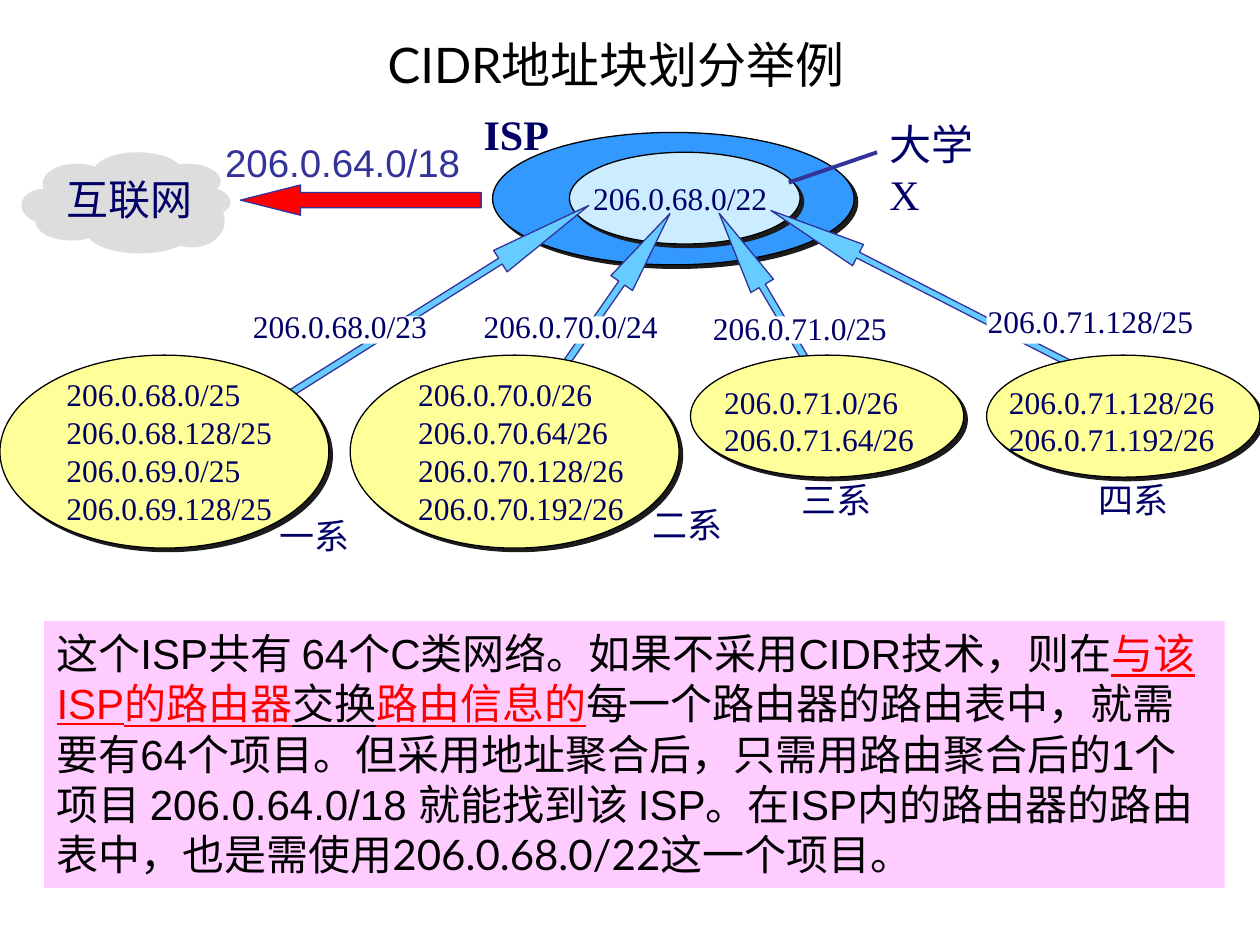
from lxml import etree
from pptx import Presentation
from pptx import util as u
from pptx.dml.color import RGBColor
from pptx.enum import shapes, text
from pptx.oxml import ns

NAVY, INDIGO, SKY = "000066", "333399", "66CCFF"
SERIF = "Times New Roman"

prs = Presentation()
prs.slide_width, prs.slide_height = u.Cm(25.4), u.Cm(19.05)
slide = prs.slides.add_slide(prs.slide_layouts[6])


def add_figure(kind, box, fill, line=None, shadow=False):
    """Add a preset shape; box is left, top, width, height in cm."""
    figure = slide.shapes.add_shape(kind, *map(u.Cm, box))
    figure.shadow.inherit = False
    figure.fill.solid()
    figure.fill.fore_color.rgb = RGBColor.from_string(fill)
    if line:
        figure.line.color.rgb = RGBColor.from_string(line)
        figure.line.width = u.Pt(0.75)
    else:
        figure.line.fill.background()
    if shadow:
        effects = figure._element.spPr.find(ns.qn("a:effectLst"))
        outer = etree.SubElement(effects, ns.qn("a:outerShdw"), dist=str(u.Pt(2.8)),
                                 dir="2700000", algn="ctr", rotWithShape="0")
        etree.SubElement(outer, ns.qn("a:srgbClr"), val="1C1C1C")
    return figure


def add_label(lines, box, size=18, color=NAVY, font=SERIF, bold=False, wrap=False):
    """Add a text box with one paragraph per line; box is in cm."""
    label = slide.shapes.add_textbox(*map(u.Cm, box))
    frame = label.text_frame
    frame.word_wrap = wrap
    frame.text = "\n".join(lines)
    for paragraph in frame.paragraphs:
        paragraph.font.size = u.Pt(size)
        paragraph.font.name = font
        paragraph.font.bold = bold
        paragraph.font.color.rgb = RGBColor.from_string(color)
    return frame


shape = shapes.MSO_SHAPE

title = add_label(["CIDR地址块划分举例"], (1.6, 0.33, 21.64, 1.93), 28, "000000", "Lato", wrap=True)
title.vertical_anchor = text.MSO_ANCHOR.MIDDLE
title.paragraphs[0].alignment = text.PP_ALIGN.CENTER

# Internet cloud: the same puffs twice, slightly offset
puffs = [
    (1.88, 3.07, 1.8, 0.81), (0.86, 3.3, 1.37, 0.81), (0.43, 3.81, 0.91, 0.66),
    (0.71, 4.11, 1.4, 0.71), (1.73, 4.22, 2.11, 0.86), (3.1, 3.3, 1.32, 0.64),
    (3.3, 3.73, 1.32, 0.64), (3.18, 3.89, 1.32, 1.07), (1.19, 3.56, 2.72, 1.07),
]
for offset in (0.03, 0):
    for left, top, width, height in puffs:
        add_figure(shape.OVAL, (left + offset, top + offset, width, height), "DDDDDD")
add_label(["互联网"], (1.09, 3.38, 3.05, 1.27), 24)

# ISP and the university inside it
add_figure(shape.OVAL, (9.93, 2.67, 7.29, 2.67), "3399FF", "000000", shadow=True)
add_figure(shape.OVAL, (11.48, 3.07, 4.65, 1.85), "CCECFF", "000000", shadow=True)
add_label(["206.0.68.0/22"], (11.71, 3.48, 4.01, 1.02))
add_label(["206.0.64.0/18"], (4.29, 2.67, 5.31, 1.19), 22, INDIGO, "Arial")
uplink = add_figure(shape.LEFT_ARROW, (4.85, 3.73, 4.85, 0.61), "FF0000", INDIGO)
uplink.adjustments[1] = 1.98
add_label(["ISP"], (9.5, 2.06, 1.83, 1.27), 24, bold=True)
add_label(["大学X"], (17.68, 2.26, 2.4, 1.27), 24, wrap=True)
pointer = slide.shapes.add_connector(
    shapes.MSO_CONNECTOR.STRAIGHT, u.Cm(15.9), u.Cm(3.68), u.Cm(17.68), u.Cm(3.07))
pointer.line.color.rgb = RGBColor.from_string(INDIGO)
pointer.line.width = u.Pt(2.25)
etree.SubElement(pointer._element.spPr, ns.qn("a:effectLst"))

# Departments: name and its place, arrow (box, angle, head length), ellipse,
# address blocks and their box, prefix and its box
departments = [
    ("四系", (21.89, 9.53), (15.16, 5.59, 6.96, 0.48), 27.1, 4.11, (19.89, 7.16, 5.51, 2.46),
     ["206.0.71.128/26", "206.0.71.192/26"], (20.09, 7.59, 4.65, 1.78),
     "206.0.71.128/25", (19.66, 5.97, 4.65, 1.02)),
    ("一系", (5.38, 10.24), (5, 5.87, 7.44, 0.51), 147.8, 4.13, (0, 7.16, 6.63, 3.89),
     ["206.0.68.0/25", "206.0.68.128/25", "206.0.69.0/25", "206.0.69.128/25"],
     (1.09, 7.44, 4.65, 3.3), "206.0.68.0/23", (4.85, 6.07, 4.01, 1.02)),
    ("二系", (12.9, 10.03), (8.84, 6.48, 5.94, 0.53), 124.8, 3.22, (7.06, 7.16, 6.63, 3.89),
     ["206.0.70.0/26", "206.0.70.64/26", "206.0.70.128/26", "206.0.70.192/26"],
     (8.18, 7.44, 4.65, 3.3), "206.0.70.0/24", (9.5, 6.07, 4.01, 1.02)),
    ("三系", (15.9, 9.53), (13.03, 6.6, 5.97, 0.53), 59.4, 3.22, (13.92, 7.16, 5.51, 2.46),
     ["206.0.71.0/26", "206.0.71.64/26"], (14.35, 7.59, 4.34, 1.78),
     "206.0.71.0/25", (14.12, 6.1, 4.01, 1.02)),
]
for (name, name_place, arrow_box, angle, head, ellipse_box,
     blocks, blocks_box, prefix, prefix_box) in departments:
    arrow = add_figure(shape.LEFT_ARROW, arrow_box, SKY, INDIGO)
    arrow.rotation = angle
    arrow.adjustments[0], arrow.adjustments[1] = 0.27, head
    add_figure(shape.OVAL, ellipse_box, "FFFF99", "000000", shadow=True)
    add_label(blocks, blocks_box)
    add_figure(shape.RECTANGLE, (prefix_box[0] + 0.23, 6.38, prefix_box[2] - 0.25, 0.55), "FFFFFF")
    add_label([prefix], prefix_box)
    add_label([name], (*name_place, 1.93, 1.09), 20)

# Explanation: text, colour, underline, font
explanation = add_figure(shape.RECTANGLE, (0.89, 12.52, 23.8, 5.38), "FFCCFF").text_frame
explanation.word_wrap = True
explanation.vertical_anchor = text.MSO_ANCHOR.TOP
paragraph = explanation.paragraphs[0]
paragraph.alignment = text.PP_ALIGN.LEFT
paragraph.font.size = u.Pt(24)
for words, color, underline, font in [
    ("这个ISP共有 64个C类网络。如果不采用CIDR技术，则在", "000000", False, "Arial"),
    ("与该 ISP的路由器", "FF0000", True, "Arial"),
    ("交换", "000000", True, "Arial"),
    ("路由信息的", "FF0000", True, "Arial"),
    ("每一个路由器的路由表中，就需要有64个项目。但采用地址聚合后，只需用路由聚合后的1个项目 "
     "206.0.64.0/18 就能找到该 ISP。在ISP内的路由器的路由表中，也是需使用", "000000", False, "Arial"),
    ("206.0.68.0/22这一个项目。", "000000", False, "Lato"),
]:
    run = paragraph.add_run()
    run.text = words
    run.font.name = font
    run.font.underline = underline
    run.font.color.rgb = RGBColor.from_string(color)

prs.save("out.pptx")
